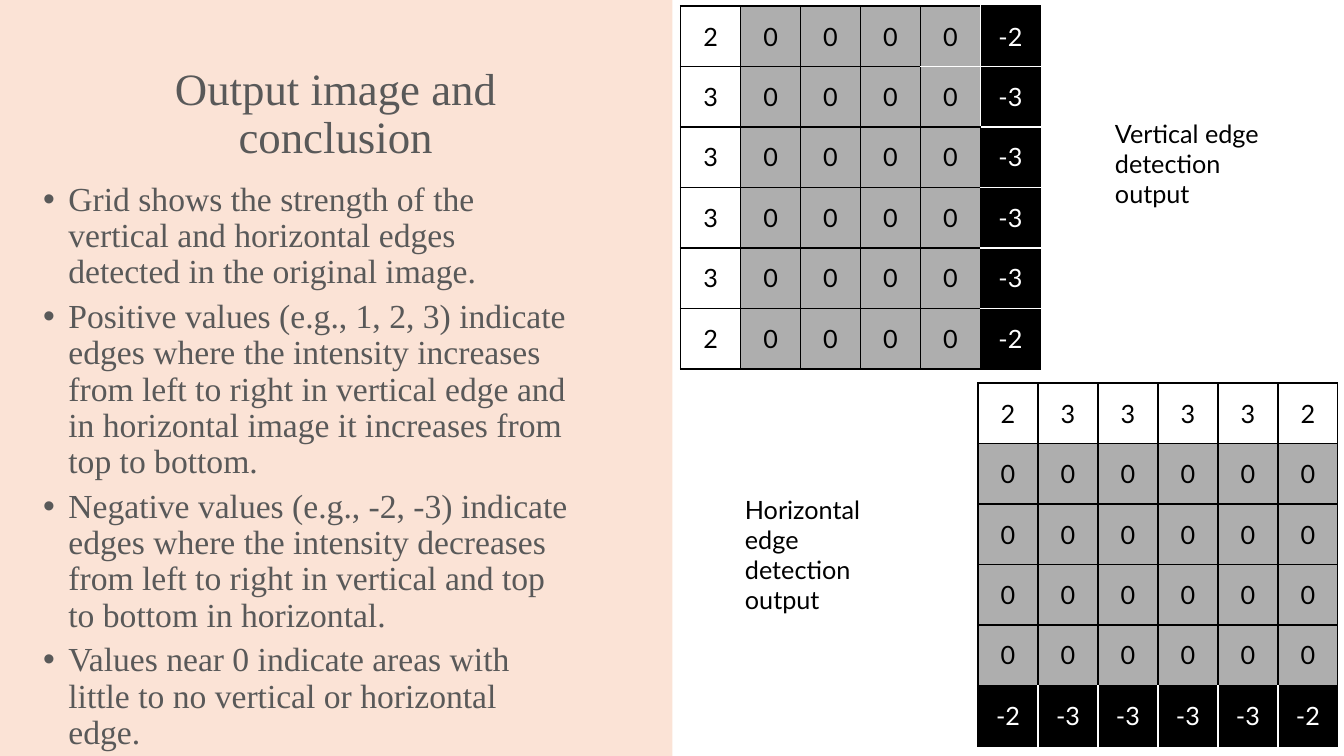
import pptx
import pptx.dml.color
import pptx.enum.shapes
import pptx.enum.text
import pptx.oxml
import pptx.oxml.ns
import pptx.util
from pptx.util import Inches

COLORS = {
    "panel": "FBE3D6",
    "prose": "595959",
    "gray": "AEAEAE",
    "black": "000000",
    "white": "FFFFFF",
}
ALIGN = pptx.enum.text.PP_ALIGN
ANCHOR = pptx.enum.text.MSO_ANCHOR
SIZE = 6
SIDES = {"L": (0, -1), "R": (0, 1), "T": (-1, 0), "B": (1, 0)}


def rgb(name):
    return pptx.dml.color.RGBColor.from_string(COLORS[name])


def write(frame, paragraphs, font="Lato", size=18, color="black", align=ALIGN.LEFT,
          spacing=1.0, after=0, bullet=False):
    """Fill a text frame with equally formatted paragraphs."""
    frame.word_wrap = True
    for index, text in enumerate(paragraphs):
        paragraph = frame.paragraphs[0] if index == 0 else frame.add_paragraph()
        paragraph.alignment = align
        paragraph.line_spacing = spacing
        paragraph.space_after = pptx.util.Pt(after)
        run = paragraph.add_run()
        run.text = text
        run.font.name = font
        run.font.size = pptx.util.Pt(size)
        run.font.bold = False
        run.font.color.rgb = rgb(color)
        if bullet:
            properties = paragraph._p.get_or_add_pPr()
            properties.set("marL", str(Inches(0.31)))
            properties.set("indent", str(Inches(-0.25)))
            for xml in ('<a:buFont {} typeface="Arial"/>', '<a:buChar {} char="•"/>'):
                properties.append(pptx.oxml.parse_xml(xml.format(pptx.oxml.ns.nsdecls("a"))))


deck = pptx.Presentation()
deck.slide_width = Inches(13.33)
deck.slide_height = Inches(7.5)
slide = deck.slides.add_slide(deck.slide_layouts[6])

# Left panel with the conclusions
panel = slide.shapes.add_shape(
    pptx.enum.shapes.MSO_SHAPE.RECTANGLE, 0, 0, Inches(6.67), Inches(7.51))
panel.shadow.inherit = False
panel.fill.solid()
panel.fill.fore_color.rgb = rgb("panel")
panel.line.fill.background()

title = slide.shapes.add_textbox(Inches(0.95), Inches(0.06), Inches(4.76), Inches(1.61))
title.text_frame.vertical_anchor = ANCHOR.BOTTOM
write(title.text_frame, ["Output image and conclusion"], font="Times New Roman",
      size=32, color="prose", align=ALIGN.CENTER, spacing=0.9)

conclusions = slide.shapes.add_textbox(Inches(0.27), Inches(1.76), Inches(5.49), Inches(4.12))
write(conclusions.text_frame, [
    "Grid shows the strength of the vertical and horizontal edges detected in the original image.",
    "Positive values (e.g., 1, 2, 3) indicate edges where the intensity increases from left to "
    "right in vertical edge and in horizontal image it increases from top to bottom.",
    "Negative values (e.g., -2, -3) indicate edges where the intensity decreases from left to "
    "right in vertical and top to bottom in horizontal.",
    "Values near 0 indicate areas with little to no vertical or horizontal edge.",
], font="Times New Roman", size=24, color="prose", spacing=0.9, after=6, bullet=True)

# Edge detection grids: the horizontal output is the vertical one transposed
strengths = [2, 3, 3, 3, 3, 2]
vertical_output = [[value, 0, 0, 0, 0, -value] for value in strengths]
horizontal_output = list(zip(*vertical_output))
vertical_white_edges = [{(0, 4), (1, 4)}, {(0, 4), (0, 5)}, {(1, 4), (1, 5)}]

for left, top, output, white_edges in [
    (6.75, 0.06, vertical_output, vertical_white_edges),
    (9.7, 3.8, horizontal_output, []),
]:
    grid = slide.shapes.add_table(
        SIZE, SIZE, Inches(left), Inches(top), Inches(3.57), Inches(3.6)).table
    grid.first_row = False
    grid.horz_banding = False
    negatives = {(r, c) for r in range(SIZE) for c in range(SIZE) if output[r][c] < 0}
    for r, row in enumerate(output):
        for c, value in enumerate(row):
            cell = grid.cell(r, c)
            cell.vertical_anchor = ANCHOR.MIDDLE
            write(cell.text_frame, [str(value)], align=ALIGN.CENTER,
                  color="white" if value < 0 else "black")
            for side, (down, right) in SIDES.items():
                edge = {(r, c), (r + down, c + right)}
                shade = "white" if edge <= negatives or edge in white_edges else "black"
                cell._tc.get_or_add_tcPr().append(pptx.oxml.parse_xml(
                    f'<a:ln{side} {pptx.oxml.ns.nsdecls("a")} w="12700"><a:solidFill>'
                    f'<a:srgbClr val="{COLORS[shade]}"/></a:solidFill></a:ln{side}>'))
            if value > 0:
                cell.fill.background()
            else:
                cell.fill.solid()
                cell.fill.fore_color.rgb = rgb("black" if value < 0 else "gray")

for left, top, width, height, caption in [
    (10.96, 1.12, 1.88, 1.01, "Vertical edge detection output"),
    (7.29, 4.85, 1.63, 1.31, "Horizontal edge detection output"),
]:
    label = slide.shapes.add_textbox(Inches(left), Inches(top), Inches(width), Inches(height))
    write(label.text_frame, [caption])
    label.text_frame.auto_size = pptx.enum.text.MSO_AUTO_SIZE.SHAPE_TO_FIT_TEXT

deck.save("out.pptx")
